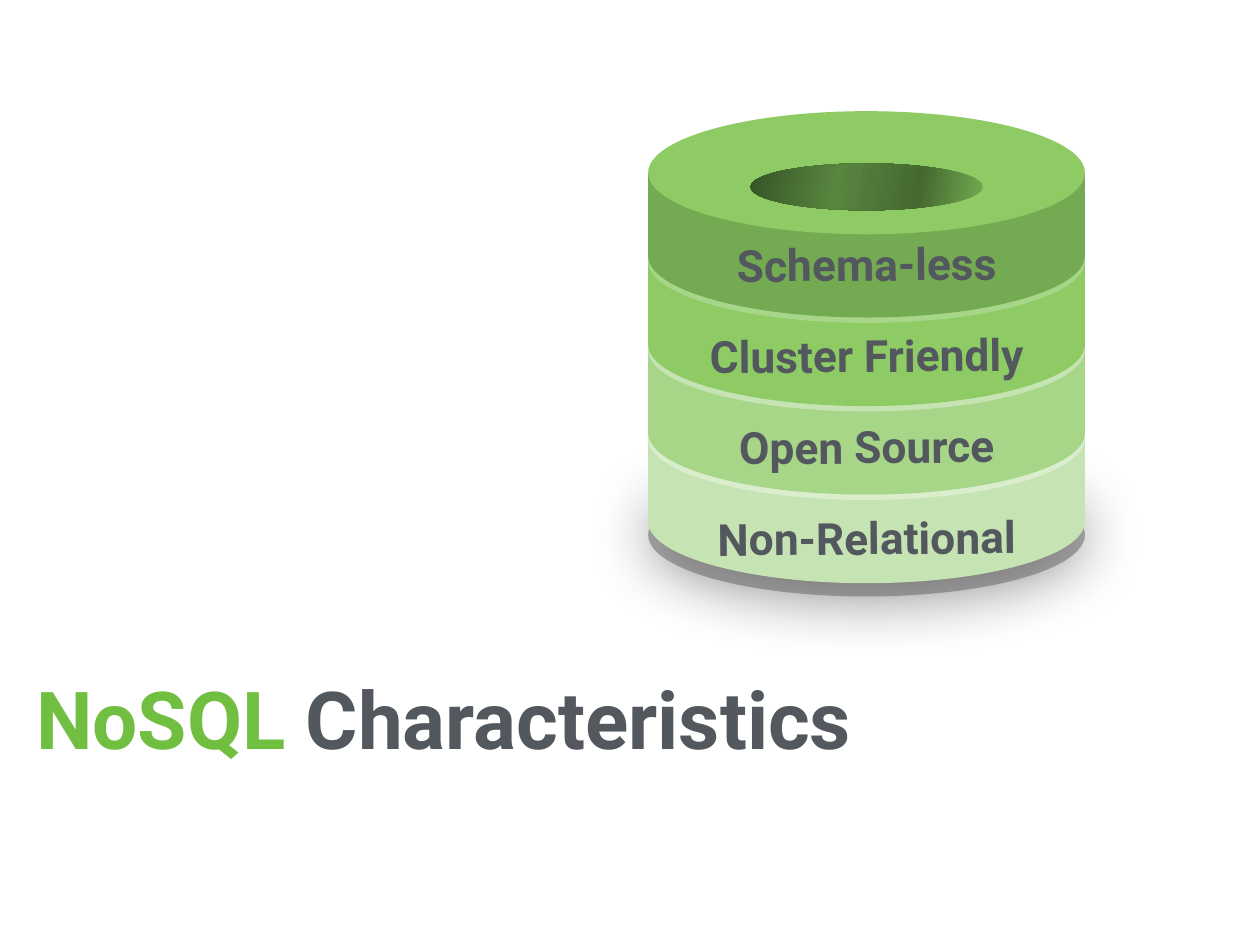
from lxml import etree
from pptx import Presentation
from pptx.dml.color import RGBColor
from pptx.enum.shapes import MSO_SHAPE
from pptx.enum.text import MSO_ANCHOR, MSO_AUTO_SIZE, PP_ALIGN
from pptx.oxml import parse_xml
from pptx.oxml.ns import nsdecls, qn
from pptx.util import Inches, Pt

OVAL = MSO_SHAPE.OVAL
MIDDLE = MSO_ANCHOR.MIDDLE
GROW = MSO_AUTO_SIZE.SHAPE_TO_FIT_TEXT
CENTER = PP_ALIGN.CENTER
LEFT = PP_ALIGN.LEFT

FONT = "Roboto"
COLORS = {
    "base": "6C6C6C",
    "shadow": "000000",
    "text": "53585F",
    "accent": "70BF41",
    "pale": "DAEECE",
    "light": "C6E4B3",
    "soft": "A7D689",
    "bright": "8ECB64",
    "deep": "73AA52",
    "hole_mid": "456930",
    "hole_glow": "59853F",
    "hole_dark": "365425",
}
HOLE_STOPS = [(0, "deep"), (28, "hole_mid"), (63, "hole_glow"), (100, "hole_dark")]

# Cylinder measures in inches
CENTER_X = 9.78
DISC_WIDTH, DISC_HEIGHT = 4.93, 1.39
HOLE_WIDTH, HOLE_HEIGHT, HOLE_DROP = 2.62, 0.53, 0.16
SIDE_HEIGHT, SIDE_DIP = 0.94, 0.29
BOTTOM_RING_Y, RING_STEP = 4.95, 1.0
BOTTOM_LABEL_Y, LABEL_STEP = 5.71, 1.03
ROUNDNESS = 0.55

# Label, side colour, top colour and label width, from bottom to top
RINGS = [
    ("Non-Relational", "light", "pale", 3.84),
    ("Open Source", "soft", "light", 3.84),
    ("Cluster Friendly", "bright", "soft", 3.98),
    ("Schema-less", "deep", "bright", 3.84),
]


def rgb(name):
    return RGBColor.from_string(COLORS[name])


def paint(shape, color):
    shape.shadow.inherit = False
    shape.line.fill.background()
    shape.fill.solid()
    shape.fill.fore_color.rgb = rgb(color)


def add_ellipse(page, center_y, width, height, color):
    ellipse = page.shapes.add_shape(
        OVAL, Inches(CENTER_X - width / 2), Inches(center_y - height / 2),
        Inches(width), Inches(height))
    paint(ellipse, color)
    return ellipse


def add_base(page):
    base = add_ellipse(page, 6.04, DISC_WIDTH, DISC_HEIGHT, "base")
    properties = base._element.spPr
    fill_color = properties.find(qn("a:solidFill"))[0]
    etree.SubElement(fill_color, qn("a:alpha"), val="57000")
    properties.find(qn("a:effectLst")).append(parse_xml(
        f'<a:outerShdw {nsdecls("a")} blurRad="{Pt(54)}" dist="0" dir="0" rotWithShape="0">'
        f'<a:srgbClr val="{COLORS["shadow"]}"><a:alpha val="82000"/></a:srgbClr>'
        '</a:outerShdw>'))


def bend(segment, *controls):
    """Turn a straight segment into a cubic curve with the same end."""
    curve = etree.Element(qn("a:cubicBezTo"))
    for x, y in controls:
        etree.SubElement(curve, qn("a:pt"), x=str(Inches(x)), y=str(Inches(y)))
    curve.append(segment[0])
    segment.getparent().replace(segment, curve)


def add_side(page, top, color):
    radius_x, radius_y = DISC_WIDTH / 2, DISC_HEIGHT / 2
    left, right = CENTER_X - radius_x, CENTER_X + radius_x
    shoulder, bottom = top + SIDE_HEIGHT, top + SIDE_HEIGHT + radius_y
    corners = [(right, shoulder), (CENTER_X, bottom), (left, shoulder),
               (left, top), (CENTER_X, top + SIDE_DIP), (right, top)]
    builder = page.shapes.build_freeform(Inches(right), Inches(top))
    builder.add_line_segments([(Inches(x), Inches(y)) for x, y in corners], close=True)
    side = builder.convert_to_shape()

    # Round the bottom edge and dip the top edge, measured from the top left
    segments = list(side._element.spPr.iter(qn("a:lnTo")))
    reach, drop = radius_x * ROUNDNESS, radius_y * ROUNDNESS
    low, base = SIDE_HEIGHT + drop, SIDE_HEIGHT + radius_y
    bend(segments[1], (DISC_WIDTH, low), (radius_x + reach, base))
    bend(segments[2], (radius_x - reach, base), (0, low))
    bend(segments[4], (0, 0), (1.5, SIDE_DIP))
    bend(segments[5], (3.29, SIDE_DIP), (DISC_WIDTH, 0))
    paint(side, color)


def add_hole(page, center_y):
    hole = add_ellipse(page, center_y, HOLE_WIDTH, HOLE_HEIGHT, "deep")
    stops = "".join(
        f'<a:gs pos="{position * 1000}"><a:srgbClr val="{COLORS[color]}"/></a:gs>'
        for position, color in HOLE_STOPS)
    properties = hole._element.spPr
    properties.replace(properties.find(qn("a:solidFill")), parse_xml(
        f'<a:gradFill {nsdecls("a")} rotWithShape="1"><a:gsLst>{stops}</a:gsLst>'
        f'<a:lin ang="{190 * 60000}" scaled="0"/></a:gradFill>'))


def add_ring(page, center_y, side, top):
    add_side(page, center_y, side)
    add_ellipse(page, center_y, DISC_WIDTH, DISC_HEIGHT, top)
    add_hole(page, center_y + HOLE_DROP)


def add_text(page, left, top, width, height, spans, size, alignment=CENTER):
    box = page.shapes.add_textbox(
        Inches(left), Inches(top), Inches(width), Inches(height))
    frame = box.text_frame
    frame.word_wrap = True
    frame.auto_size = GROW
    frame.vertical_anchor = MIDDLE
    frame.margin_left = frame.margin_right = Inches(0.06)
    frame.margin_top = frame.margin_bottom = Inches(0.06)
    para = frame.paragraphs[0]
    para.alignment = alignment
    for text, color in spans:
        span = para.add_run()
        span.text = text
        span.font.name = FONT
        span.font.size = Pt(size)
        span.font.bold = True
        span.font.color.rgb = rgb(color)
    return box


def main():
    deck = Presentation()
    deck.slide_width, deck.slide_height = Inches(14.22), Inches(10.67)
    page = deck.slides.add_slide(deck.slide_layouts[6])

    # Stacked cylinder
    add_base(page)
    for level, (_, side, top, _) in enumerate(RINGS):
        add_ring(page, BOTTOM_RING_Y - level * RING_STEP, side, top)

    # Ring labels
    for level, (label, _, _, width) in enumerate(RINGS):
        box = add_text(page, CENTER_X - width / 2, BOTTOM_LABEL_Y - level * LABEL_STEP,
                       width, 0.71, [(label, "text")], 36)
        box.rotation = 359.5

    # Title
    add_text(page, 0.35, 7.51, 9.94, 1.19,
             [("NoSQL ", "accent"), ("Characteristics", "text")], 65, LEFT)

    deck.save("out.pptx")


if __name__ == "__main__":
    main()
